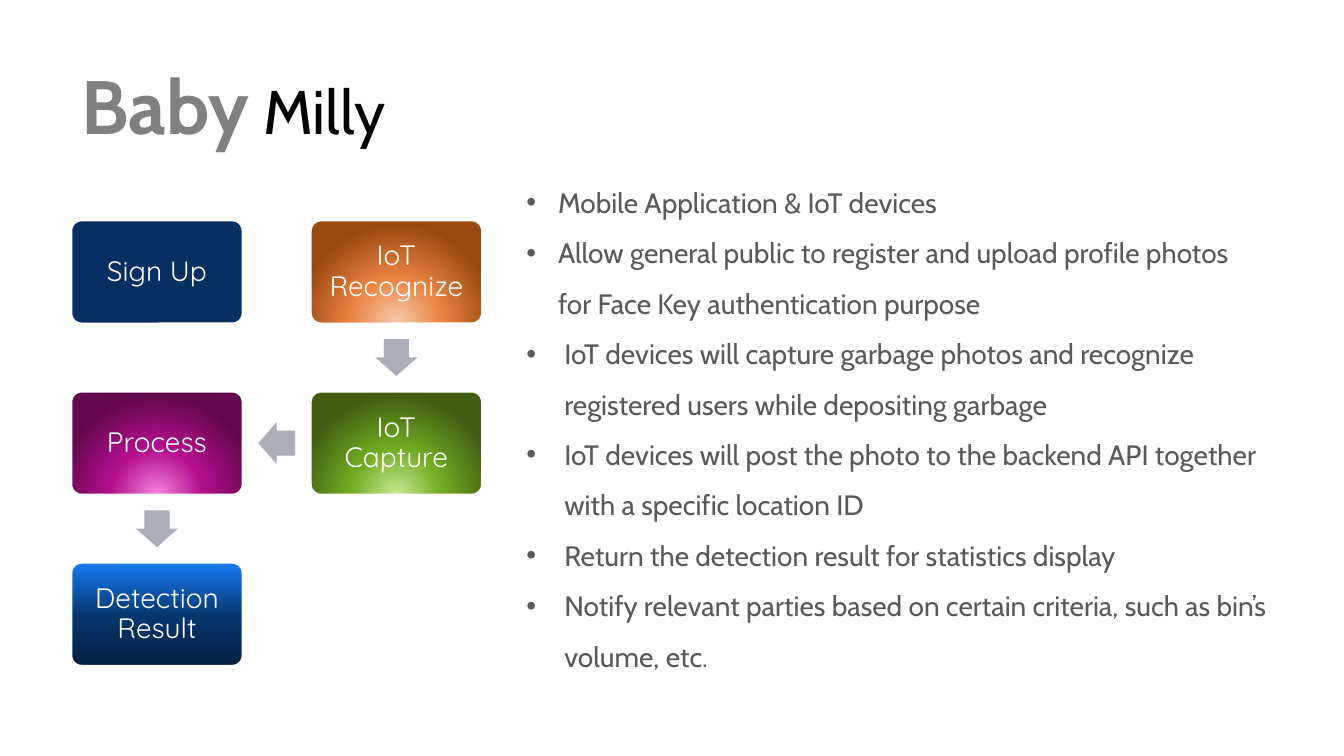
from lxml import etree
from pptx import Presentation
from pptx.dml.color import RGBColor
from pptx.enum.shapes import MSO_SHAPE
from pptx.enum.text import MSO_ANCHOR, PP_ALIGN
from pptx.oxml.ns import qn
from pptx.util import Emu, Pt

ROUNDED = MSO_SHAPE.ROUNDED_RECTANGLE
ARROW = MSO_SHAPE.RIGHT_ARROW
MIDDLE = MSO_ANCHOR.MIDDLE
CENTER = PP_ALIGN.CENTER

PX = 9525
BLANK_LAYOUT = 6
COLORS = {
    "white": "FFFFFF", "black": "000000", "gray": "808080",
    "body": "595959", "arrow": "ABADB7", "navy": "052F61",
}
GRADIENTS = {
    "orange": [(0, "F6CBAF"), (46, "E98441"), (100, "9A4812")],
    "green": [(0, "C7EA94"), (46, "73AB22"), (100, "405F13")],
    "magenta": [(0, "F585DB"), (46, "B40F8E"), (100, "63084E")],
    "blue": [(0, "031F41"), (48, "06356D"), (100, "167BF3")],
}
GLOW = {"l": "50000", "t": "130000", "r": "50000", "b": "-30000"}

GRID_LEFT, GRID_TOP = 68, 210
COLUMN_PITCH, ROW_PITCH = 228, 163
CARD_WIDTH, CARD_HEIGHT = 163, 98
ARROW_LENGTH, ARROW_BREADTH = 35, 40

CARDS = [
    ("Sign Up", 0, 0, "navy"),
    ("IoT Recognize", 1, 0, "orange"),
    ("IoT Capture", 1, 1, "green"),
    ("Process", 0, 1, "magenta"),
    ("Detection Result", 0, 2, "blue"),
]
ARROWS = [(1, 0.5, 90), (0.5, 1, 180), (0, 1.5, 90)]
BULLETS = [
    ("Mobile Application & IoT devices", 30),
    ("Allow general public to register and upload profile photos "
     "for Face Key authentication purpose", 30),
    ("IoT devices will capture garbage photos and recognize "
     "registered users while depositing garbage", 36),
    ("IoT devices will post the photo to the backend API together "
     "with a specific location ID", 36),
    ("Return the detection result for statistics display", 36),
    ("Notify relevant parties based on certain criteria, such as bin’s "
     "volume, etc.", 36),
]


def px(value):
    return Emu(round(value * PX))


def rgb(name):
    return RGBColor.from_string(COLORS[name])


def set_values(target, values):
    for name, value in values.items():
        setattr(target, name, value)


def add_run(paragraph, text, color, **font_values):
    run = paragraph.add_run()
    run.text = text
    set_values(run.font, font_values)
    run.font.color.rgb = rgb(color)


def add_text_box(slide, left, top, width, height):
    box = slide.shapes.add_textbox(px(left), px(top), px(width), px(height))
    box.text_frame.word_wrap = True
    return box.text_frame


def add_shape(slide, kind, center_x, center_y, width, height):
    shape = slide.shapes.add_shape(
        kind, px(center_x - width / 2), px(center_y - height / 2), px(width), px(height))
    shape.shadow.inherit = False
    return shape


def card_center(column, row):
    return (GRID_LEFT + CARD_WIDTH / 2 + column * COLUMN_PITCH,
            GRID_TOP + CARD_HEIGHT / 2 + row * ROW_PITCH)


def fill_solid(shape, color):
    shape.fill.solid()
    shape.fill.fore_color.rgb = rgb(color)


def fill_gradient(shape, name):
    gradient = etree.Element(qn("a:gradFill"), rotWithShape="1")
    stops = etree.SubElement(gradient, qn("a:gsLst"))
    for position, color in GRADIENTS[name]:
        stop = etree.SubElement(stops, qn("a:gs"), pos=str(position * 1000))
        etree.SubElement(stop, qn("a:srgbClr"), val=color)
    if name == "blue":
        etree.SubElement(gradient, qn("a:lin"), ang="16200000", scaled="0")
    else:
        circle = etree.SubElement(gradient, qn("a:path"), {"path": "circle"})
        etree.SubElement(circle, qn("a:fillToRect"), GLOW)
    shape._element.spPr.find(qn("a:prstGeom")).addnext(gradient)


def add_card(slide, label, column, row, fill):
    card = add_shape(slide, ROUNDED, *card_center(column, row), CARD_WIDTH, CARD_HEIGHT)
    card.adjustments[0] = 0.1
    if fill in GRADIENTS:
        fill_gradient(card, fill)
    else:
        fill_solid(card, fill)
    card.line.color.rgb = rgb("white")
    card.line.width = Pt(1.25)
    frame = card.text_frame
    margins = ("margin_left", "margin_top", "margin_right", "margin_bottom")
    set_values(frame, dict.fromkeys(margins, px(8)))
    set_values(frame, {"word_wrap": True, "vertical_anchor": MIDDLE})
    paragraph = frame.paragraphs[0]
    set_values(paragraph, {"alignment": CENTER, "line_spacing": 0.9})
    add_run(paragraph, label, "white", name="Quicksand", size=Pt(20))


def add_arrow(slide, column, row, rotation):
    arrow = add_shape(slide, ARROW, *card_center(column, row), ARROW_LENGTH, ARROW_BREADTH)
    arrow.adjustments[0] = 0.6
    arrow.rotation = rotation
    fill_solid(arrow, "arrow")
    arrow.line.fill.background()


def add_title(slide):
    frame = add_text_box(slide, 68, 26, 1144, 103)
    frame.vertical_anchor = MIDDLE
    paragraph = frame.paragraphs[0]
    paragraph.line_spacing = 1.5
    add_run(paragraph, "Baby", "gray", name="Cabin", size=Pt(54), bold=True)
    add_run(paragraph, " Milly", "black", name="Cabin", size=Pt(44), bold=False)


def add_bullets(slide):
    frame = add_text_box(slide, 492, 156, 724, 532)
    for index, (text, indent) in enumerate(BULLETS):
        paragraph = frame.add_paragraph() if index else frame.paragraphs[0]
        paragraph.line_spacing = 1.5
        add_run(paragraph, text, "body", name="Cabin", size=Pt(20))
        properties = paragraph._p.get_or_add_pPr()
        properties.set("marL", str(px(indent)))
        properties.set("indent", str(-px(indent)))
        etree.SubElement(properties, qn("a:buFont"), typeface="Arial")
        etree.SubElement(properties, qn("a:buChar"), char="•")


def main():
    presentation = Presentation()
    set_values(presentation, {"slide_width": px(1280), "slide_height": px(720)})
    slide = presentation.slides.add_slide(presentation.slide_layouts[BLANK_LAYOUT])
    add_title(slide)
    add_bullets(slide)
    for card in CARDS:
        add_card(slide, *card)
    for arrow in ARROWS:
        add_arrow(slide, *arrow)
    presentation.save("out.pptx")


if __name__ == "__main__":
    main()
